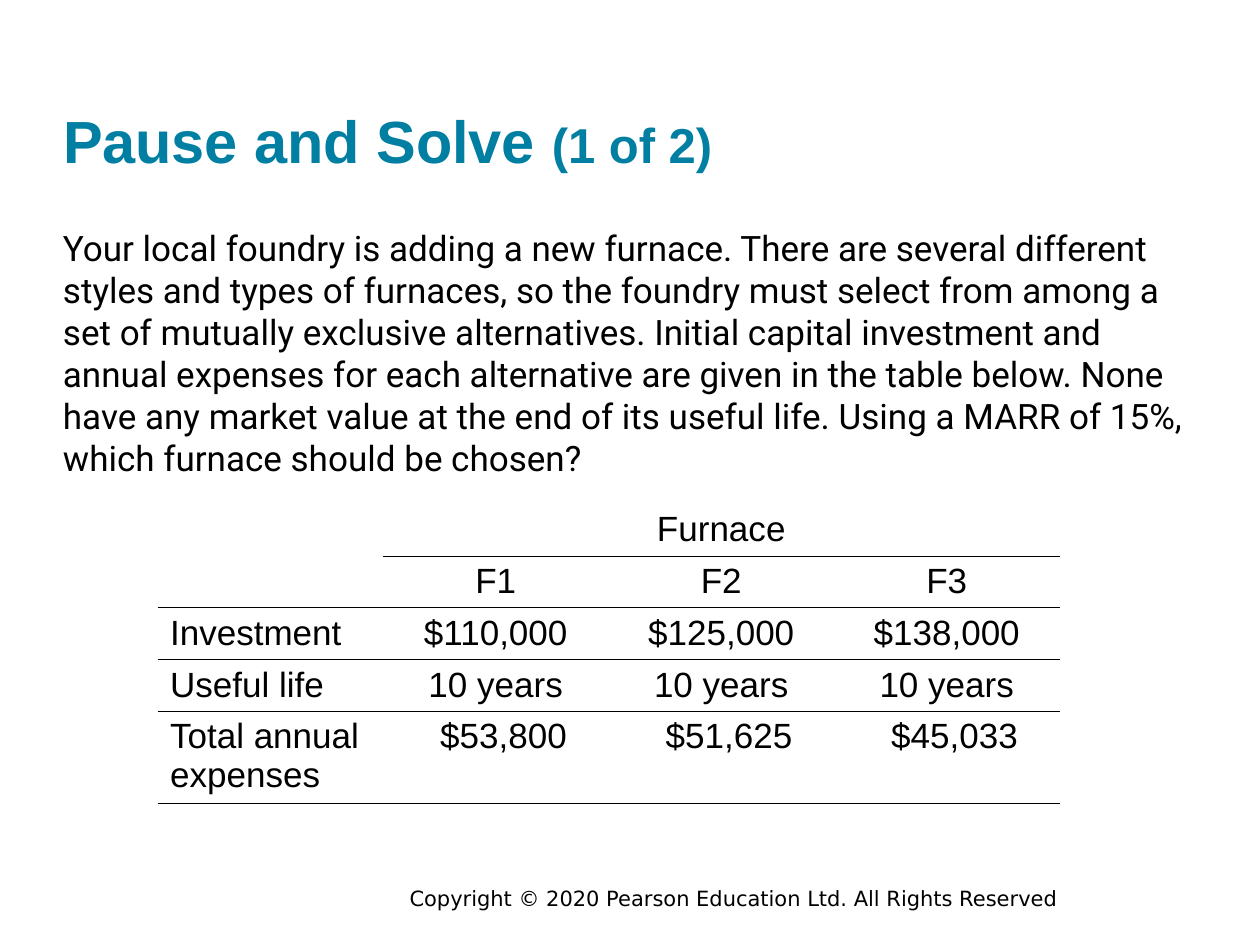
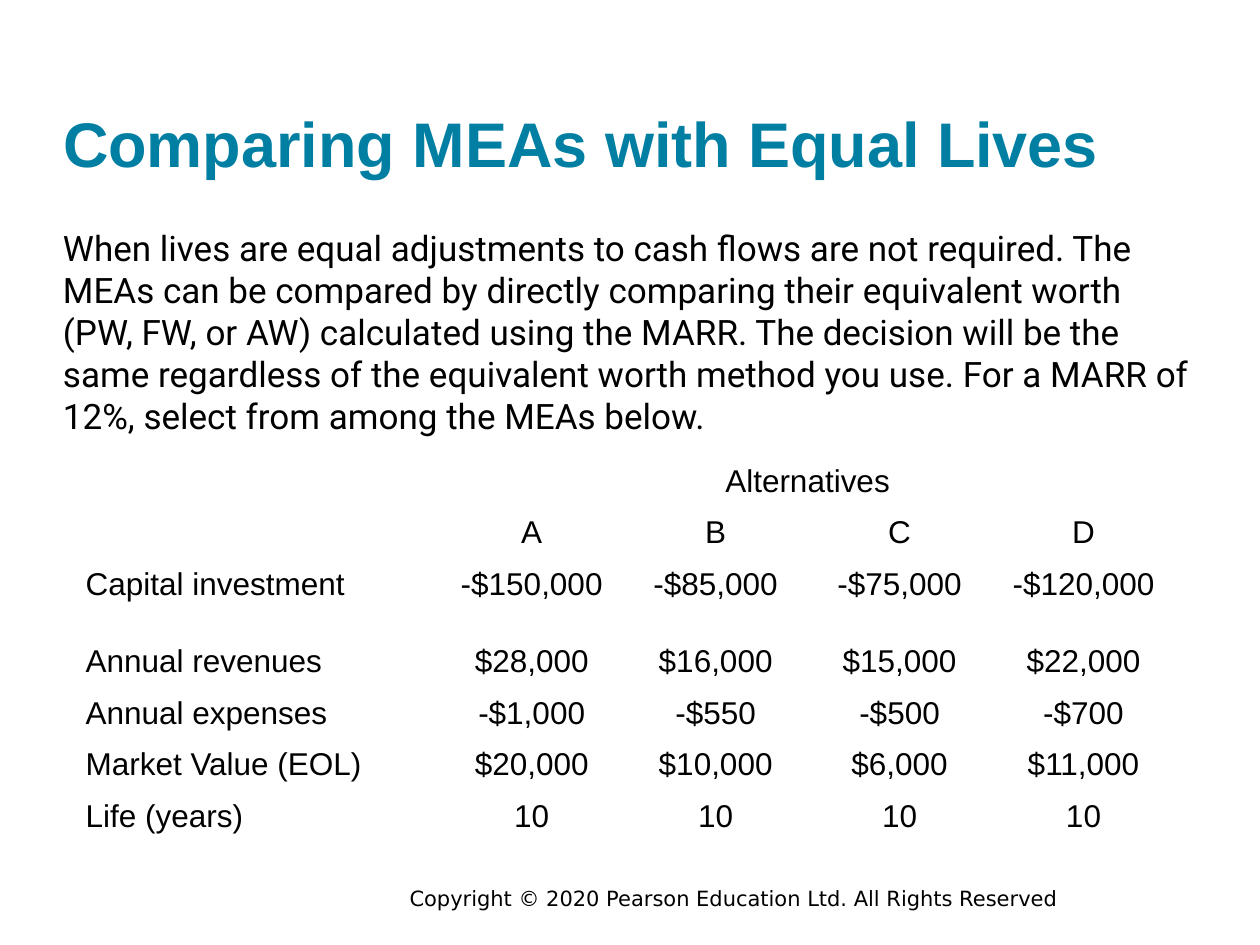
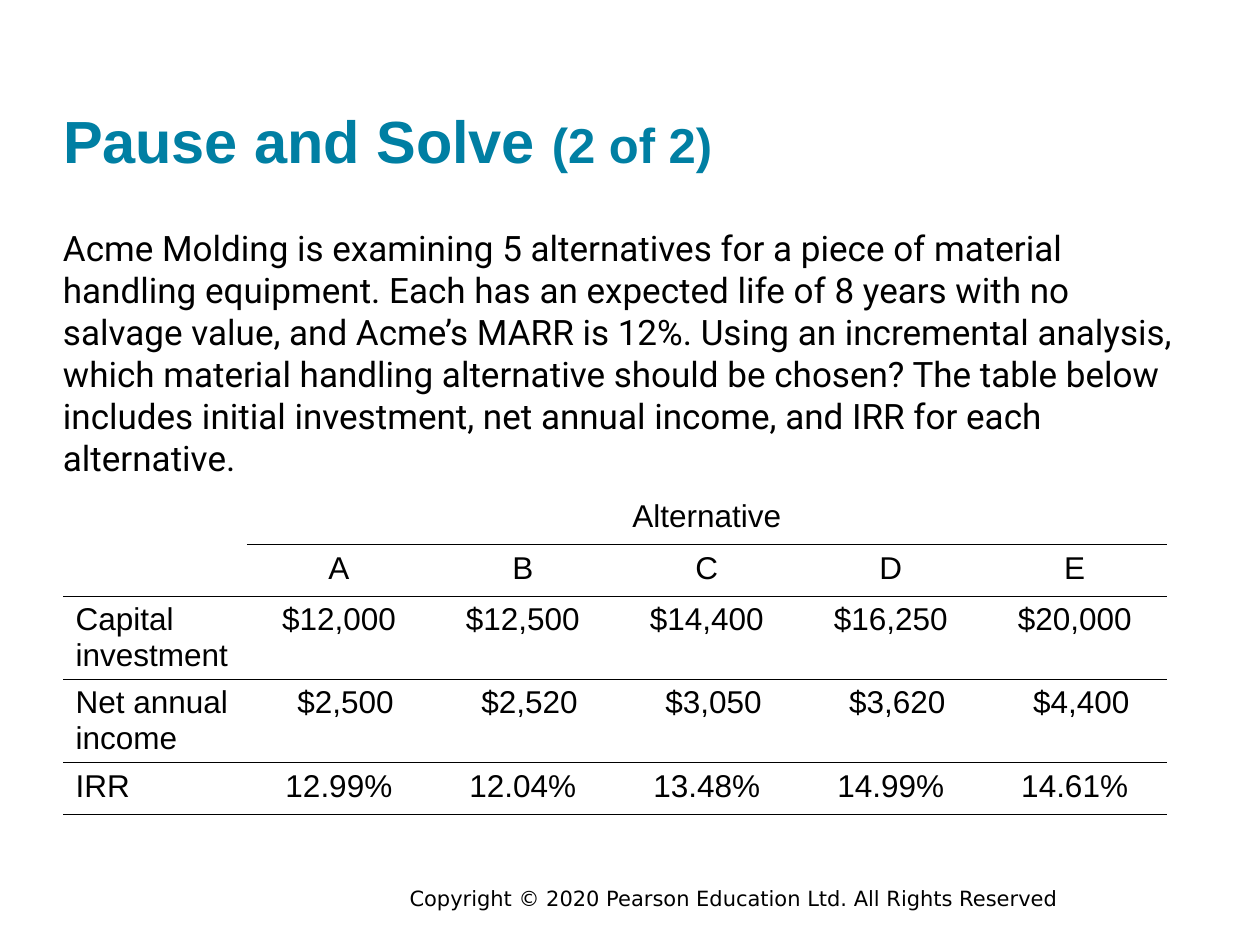
from dataclasses import dataclass

import lxml.etree
import pptx
import pptx.dml.color
import pptx.enum.text
import pptx.oxml.ns
import pptx.util

Inches = pptx.util.Inches
Align = pptx.enum.text.PP_ALIGN
Anchor = pptx.enum.text.MSO_ANCHOR
qn = pptx.oxml.ns.qn


@dataclass(frozen=True)
class Theme:
    teal: str = "007FA3"
    black: str = "000000"
    head_font: str = "Arial"
    body_font: str = "Roboto"
    foot_font: str = "DejaVu Sans"
    head_size: int = 36
    part_head_size: int = 34
    part_size: int = 28
    body_size: int = 20
    foot_size: int = 12
    rule_width: float = 0.25
    no_style: str = "{2D5ABB26-0587-4C30-8999-92F81FD0307C}"


THEME = Theme()
ROW = 0.41
FOOTER = "Copyright © 2020 Pearson Education Ltd. All Rights Reserved"
# Row index and the first column of the line below that row
RULES = {0: 1, 1: 0, 2: 0, 4: 0}


def style(run, font, size, color=THEME.black, bold=False):
    run.font.name = font
    run.font.size = pptx.util.Pt(size)
    run.font.bold = bold
    run.font.color.rgb = pptx.dml.color.RGBColor.from_string(color)


def set_frame(frame, anchor=Anchor.TOP):
    frame.margin_left = frame.margin_right = 0
    frame.margin_top = frame.margin_bottom = 0
    frame.word_wrap = True
    frame.auto_size = pptx.enum.text.MSO_AUTO_SIZE.NONE
    frame.vertical_anchor = anchor


def add_text(slide, text, place, font, size):
    box = slide.shapes.add_textbox(*map(Inches, place))
    set_frame(box.text_frame)
    para = box.text_frame.paragraphs[0]
    para.text = text
    style(para.runs[0], font, size)
    return box


def add_footer(slide):
    """Put the footer on the slide's layout, so that all slides share it."""
    box = add_text(slide, FOOTER, (3.25, 7.03, 6.58, 0.2),
                   THEME.foot_font, THEME.foot_size)
    box.element.find(".//" + qn("p:cNvPr")).set("id", "20")
    slide.slide_layout.shapes.element.append(box.element)


def set_title(slide, text, part):
    title = slide.shapes.title
    title.left, title.top = Inches(0.5), Inches(0.82)
    title.width, title.height = Inches(9), Inches(0.57 if part else 0.61)
    set_frame(title.text_frame, Anchor.BOTTOM)
    para = title.text_frame.paragraphs[0]
    para.alignment = Align.LEFT
    main_size = THEME.part_head_size if part else THEME.head_size
    for words, size in ((text, main_size), (part, THEME.part_size)):
        if words:
            run = para.add_run()
            run.text = words
            style(run, THEME.head_font, size, THEME.teal, True)


def add_slide(deck, title, part, body, height):
    slide = deck.slides.add_slide(deck.slide_layouts[5])
    set_title(slide, title, part)
    add_text(slide, body, (0.5, 1.8, 9, height),
             THEME.body_font, THEME.body_size)
    return slide


def add_rule(cell, side):
    line = lxml.etree.SubElement(cell._tc.get_or_add_tcPr(), qn("a:" + side))
    line.set("w", str(pptx.util.Pt(THEME.rule_width)))
    fill = lxml.etree.SubElement(line, qn("a:solidFill"))
    lxml.etree.SubElement(fill, qn("a:srgbClr")).set("val", THEME.black)


def add_tab(para, place):
    props = para._p.get_or_add_pPr()
    tabs = lxml.etree.SubElement(props, qn("a:tabLst"))
    tab = lxml.etree.SubElement(tabs, qn("a:tab"))
    tab.set("pos", str(Inches(place)))
    tab.set("algn", "dec")


def fill_cell(cell, text, align, size, tab):
    cell.fill.background()
    if not text:
        return
    para = cell.text_frame.paragraphs[0]
    if text.startswith("\t"):
        add_tab(para, tab)
    para.text = text
    para.alignment = align
    style(para.runs[0], THEME.head_font, size)


def merge_row(table, row, texts):
    """Join each cell that has None to the last cell before it with text."""
    start = 0
    for col in range(1, len(texts) + 1):
        if col == len(texts) or texts[col] is not None:
            if col - start > 1:
                table.cell(row, start).merge(table.cell(row, col - 1))
            start = col


def add_table(slide, left, top, widths, rows, size, tall, rules=None, tab=0):
    """Draw rows of text; tall gives the heights of rows above the usual."""
    rules = rules or {}
    heights = [tall.get(i, ROW) for i in range(len(rows))]
    frame = slide.shapes.add_table(
        len(rows), len(widths), Inches(left), Inches(top),
        Inches(sum(widths)), Inches(sum(heights)))
    table = frame.table
    table.first_row = table.horz_banding = False
    table._tbl.tblPr.find(qn("a:tableStyleId")).text = THEME.no_style
    for col, width in zip(table.columns, widths):
        col.width = Inches(width)
    for i, texts in enumerate(rows):
        table.rows[i].height = Inches(heights[i])
        for j, text in enumerate(texts):
            cell = table.cell(i, j)
            for side, above in (("lnT", i - 1), ("lnB", i)):
                if j >= rules.get(above, len(texts)):
                    add_rule(cell, side)
            fill_cell(cell, text, Align.CENTER if j else Align.LEFT, size, tab)
        merge_row(table, i, texts)


def add_furnace(deck):
    slide = add_slide(
        deck, "Pause and Solve ", "(1 of 2)",
        "Your local foundry is adding a new furnace. There are several "
        "different styles and types of furnaces, so the foundry must select "
        "from among a set of mutually exclusive alternatives. Initial capital "
        "investment and annual expenses for each alternative are given in the "
        "table below. None have any market value at the end of its useful "
        "life. Using a MARR of 15%, which furnace should be chosen?", 2.02)
    rows = [
        ["", "Furnace", None, None],
        ["", "F1", "F2", "F3"],
        ["Investment", "$110,000", "$125,000", "$138,000"],
        ["Useful life"] + ["10 years"] * 3,
        ["Total annual expenses", "\t$53,800", "\t$51,625", "\t$45,033"],
    ]
    add_table(slide, 1.25, 4, [1.79] * 4, rows, 20, {4: 0.73}, RULES, 1.13)
    return slide


def add_lives(deck):
    slide = add_slide(
        deck, "Comparing MEAs with Equal Lives", "",
        "When lives are equal adjustments to cash flows are not required. The "
        "MEAs can be compared by directly comparing their equivalent worth "
        "(PW, FW, or AW) calculated using the MARR. The decision will be the "
        "same regardless of the equivalent worth method you use. For a MARR "
        "of 12%, select from among the MEAs below.", 1.68)
    rows = [
        ["", "", "Alternatives", None, None, None],
        ["", "", *"ABCD"],
        ["Capital investment", None,
         "-$150,000", "-$85,000", "-$75,000", "-$120,000"],
        ["Annual revenues", None, "$28,000", "$16,000", "$15,000", "$22,000"],
        ["Annual expenses", None, "-$1,000", "-$550", "-$500", "-$700"],
        ["Market Value (EOL)", None,
         "$20,000", "$10,000", "$6,000", "$11,000"],
        ["Life (years)", None] + ["10"] * 4,
    ]
    add_table(slide, 0.58, 3.63, [1.98, 0.93] + [1.46] * 4, rows, 18,
              {2: 0.61})


def add_molding(deck):
    slide = add_slide(
        deck, "Pause and Solve ", "(2 of 2)",
        "Acme Molding is examining 5 alternatives for a piece of material "
        "handling equipment. Each has an expected life of 8 years with no "
        "salvage value, and Acme’s MARR is 12%. Using an incremental "
        "analysis, which material handling alternative should be chosen? The "
        "table below includes initial investment, net annual income, and IRR "
        "for each alternative.", 2.02)
    rows = [
        ["", "Alternative", None, None, None, None],
        ["", *"ABCDE"],
        ["Capital investment",
         "$12,000", "$12,500", "$14,400", "$16,250", "$20,000"],
        ["Net annual income",
         "\t$2,500", "\t$2,520", "\t$3,050", "\t$3,620", "\t$4,400"],
        ["IRR", "12.99%", "12.04%", "13.48%", "14.99%", "14.61%"],
    ]
    add_table(slide, 0.5, 3.91, [1.46] * 6, rows, 18, {2: 0.66, 3: 0.66},
              RULES, 0.87)


def main():
    deck = pptx.Presentation()
    deck.slide_width, deck.slide_height = Inches(10), Inches(7.5)
    first = add_furnace(deck)
    add_footer(first)
    add_lives(deck)
    add_molding(deck)
    deck.save("out.pptx")


if __name__ == "__main__":
    main()
